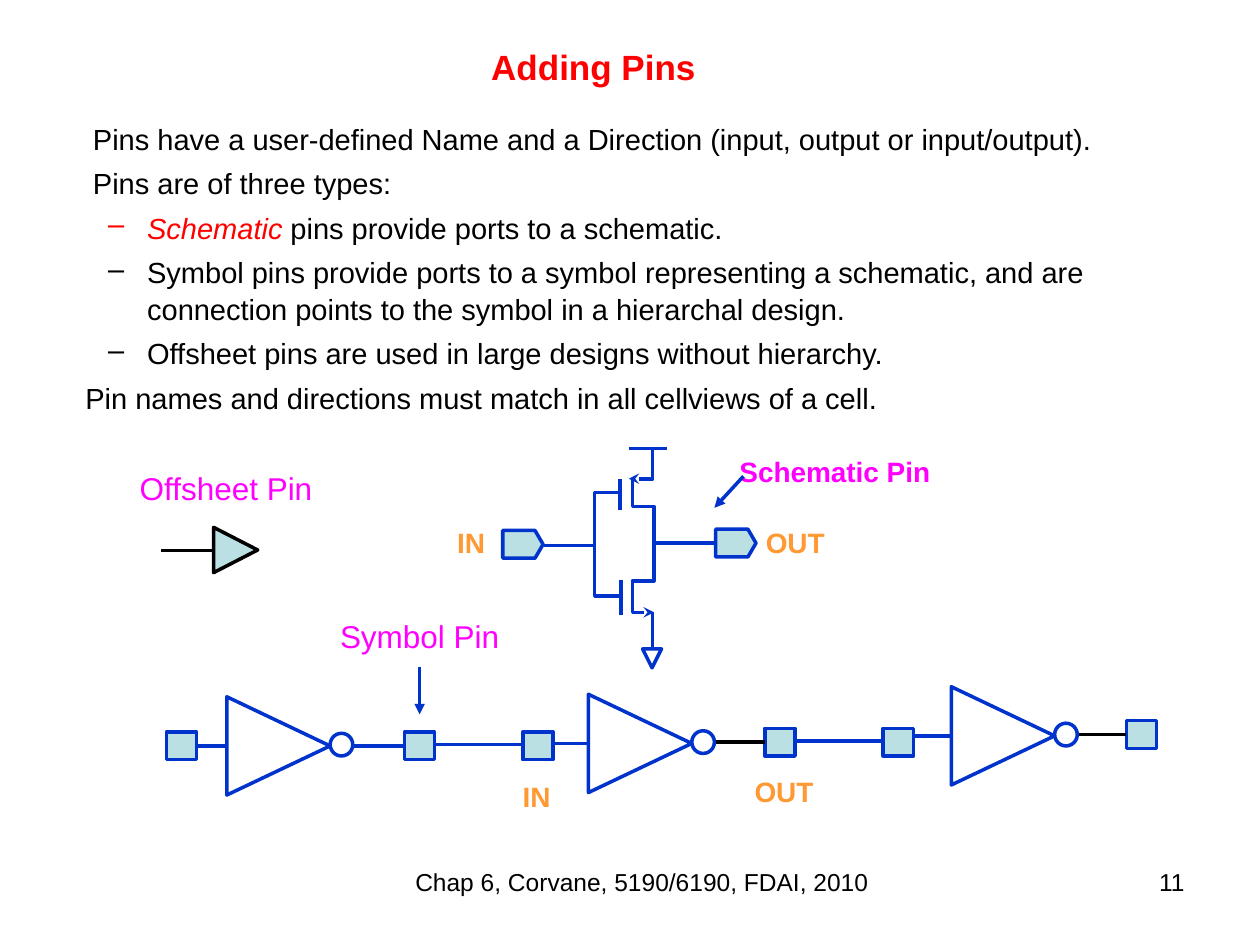
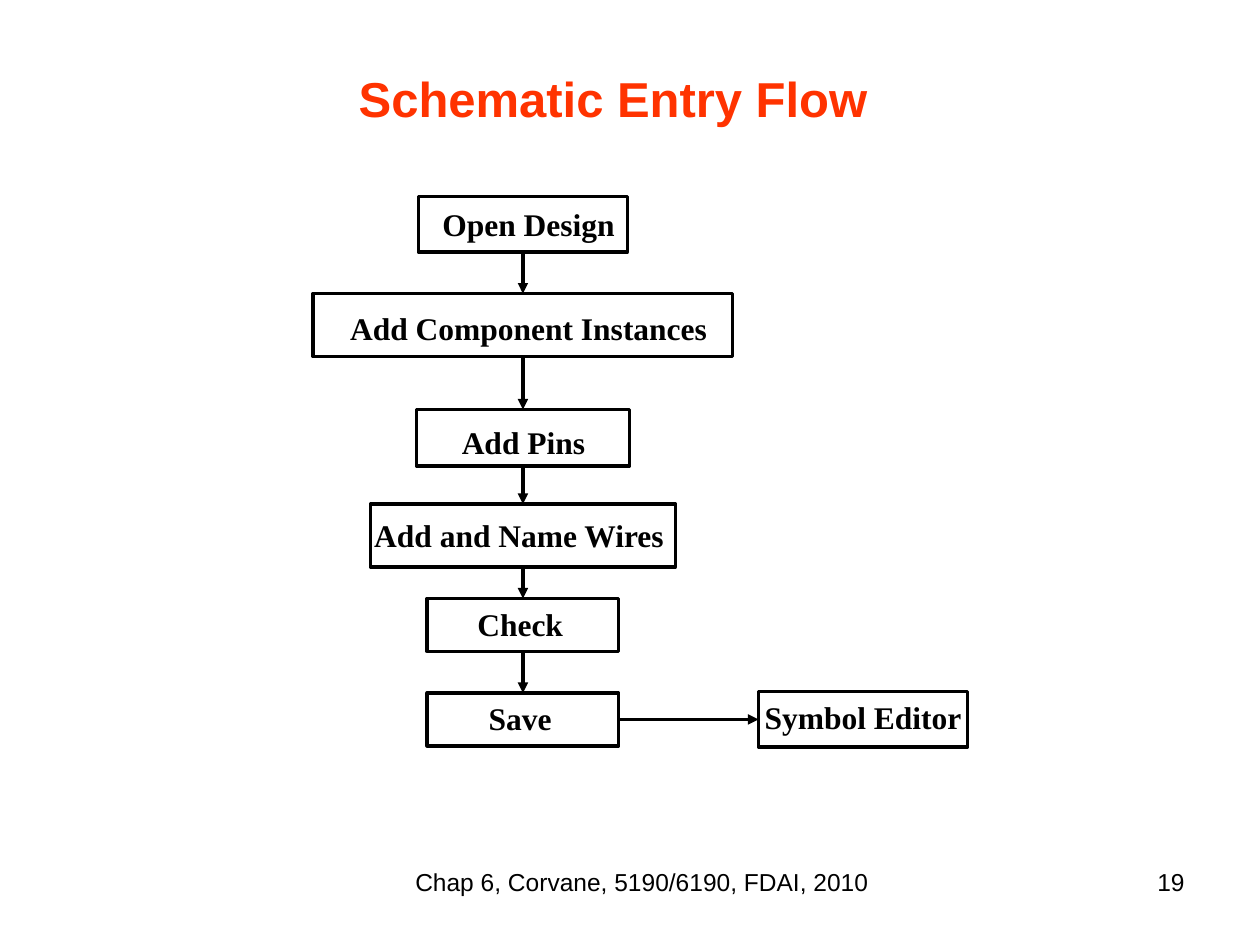
from itertools import pairwise
from typing import NamedTuple, Optional

from lxml import etree
from pptx import Presentation
from pptx.dml.color import RGBColor
from pptx.enum.shapes import MSO_CONNECTOR, MSO_SHAPE
from pptx.enum.text import MSO_ANCHOR, PP_ALIGN
from pptx.oxml.ns import qn
from pptx.util import Emu, Inches, Pt

BLACK = RGBColor(0x00, 0x00, 0x00)
RED = RGBColor(0xFF, 0x00, 0x00)
ORANGE = RGBColor(0xFF, 0x33, 0x00)
BLUE = RGBColor(0x00, 0x33, 0xCC)
PALE = RGBColor(0xBB, 0xE0, 0xE3)
PINK = RGBColor(0xFF, 0x00, 0xFF)
AMBER = RGBColor(0xFF, 0x99, 0x33)

LEFT, MID, RIGHT = PP_ALIGN.LEFT, PP_ALIGN.CENTER, PP_ALIGN.RIGHT
RECT, OVAL = MSO_SHAPE.RECTANGLE, MSO_SHAPE.OVAL
WEDGE, PORT = MSO_SHAPE.FLOWCHART_MERGE, MSO_SHAPE.FLOWCHART_OFFPAGE_CONNECTOR
LINE = MSO_CONNECTOR.STRAIGHT
TOP_SIDE, LEFT_SIDE, LOW_SIDE, RIGHT_SIDE = range(4)

# The slide is a grid of 100 columns by 75 rows of square cells.
WIDTH, HEIGHT = Inches(10), Inches(7.5)
CELL = WIDTH // 100

Point = tuple[float, float]
Box = tuple[float, float, float, float]


class Font(NamedTuple):
    size: float
    color: RGBColor = BLACK
    bold: bool = False
    face: str = "Arial"
    slant: bool = False


class Run(NamedTuple):
    text: str
    font: Font


class Item(NamedTuple):
    runs: list[Run]
    margin: float
    bullet: Optional[RGBColor] = None


class Label(NamedTuple):
    text: str
    box: Box
    font: Font


class Stage(NamedTuple):
    """One inverter: corner of its gate, then of its two pins."""
    gate: Point
    inp: Point
    out: Point
    ink: RGBColor


class Step(NamedTuple):
    text: str
    box: Box
    label: Box
    align: PP_ALIGN = MID


FOOT = Font(14)
BODY = Font(16.6)
NOTE = Font(18, PINK)
PORT_NAME = Font(16, AMBER, True)
STEP = Font(18, BLACK, True, "Times New Roman")


def grid(*cells: float) -> list[Emu]:
    return [Emu(round(n * CELL)) for n in cells]


def add_run(para, run: Run) -> None:
    part = para.add_run()
    part.text = run.text
    font = part.font
    font.name, font.size = run.font.face, Pt(run.font.size)
    font.bold, font.italic = run.font.bold, run.font.slant
    font.color.rgb = run.font.color


def add_frame(slide, box: Box):
    frame = slide.shapes.add_textbox(*grid(*box)).text_frame
    frame.word_wrap = True
    return frame


def add_text(slide, text: str, box: Box, font: Font, align=LEFT, anchor=MSO_ANCHOR.TOP) -> None:
    frame = add_frame(slide, box)
    frame.vertical_anchor = anchor
    para = frame.paragraphs[0]
    para.alignment = align
    add_run(para, Run(text, font))


def add_list(slide, box: Box, items: list[Item]) -> None:
    frame = add_frame(slide, box)
    for row, item in enumerate(items):
        para = frame.add_paragraph() if row else frame.paragraphs[0]
        para.space_before, para.line_spacing = Pt(4.5), 1.05
        props = para._p.get_or_add_pPr()
        props.set("marL", str(grid(item.margin)[0]))
        if item.bullet is not None:
            props.set("indent", str(grid(-3.1)[0]))
            tint = etree.SubElement(props, qn("a:buClr"))
            etree.SubElement(tint, qn("a:srgbClr"), val=str(item.bullet))
            etree.SubElement(props, qn("a:buChar"), char="–")
        for run in item.runs:
            add_run(para, run)


def ink_line(shape, ink: RGBColor, tip: str = "") -> None:
    """Give a line or outline its colour, width and arrowhead."""
    shape.line.color.rgb = ink
    shape.line.width = Pt(2)
    if tip:
        etree.SubElement(shape.line._get_or_add_ln(), qn("a:tailEnd"), type=tip)


def add_form(slide, kind, box: Box, ink=BLUE, fill: Optional[RGBColor] = None, turn: float = 0):
    form = slide.shapes.add_shape(kind, *grid(*box))
    form.shadow.inherit = False
    form.rotation = turn
    if fill is None:
        form.fill.background()
    else:
        form.fill.solid()
        form.fill.fore_color.rgb = fill
    ink_line(form, ink)
    return form


def add_wire(slide, start: Point, end: Point, ink=BLUE, tip: str = ""):
    wire = slide.shapes.add_connector(LINE, *grid(*start, *end))
    ink_line(wire, ink, tip)
    etree.SubElement(wire._element.spPr, qn("a:effectLst"))
    return wire


def add_trace(slide, points: list[Point], tip: str = "") -> None:
    """Draw an open outline through the points."""
    first, *rest = [tuple(grid(*point)) for point in points]
    pen = slide.shapes.build_freeform(*first)
    pen.add_line_segments(rest, close=False)
    trace = pen.convert_to_shape()
    trace.shadow.inherit = False
    trace.fill.background()
    ink_line(trace, BLUE, tip)


def add_page(deck, title: str, box: Box, font: Font, page: int):
    slide = deck.slides.add_slide(deck.slide_layouts[6])
    add_text(slide, "Chap 6, Corvane, 5190/6190, FDAI, 2010", (15.9, 68.3, 70.1, 5.2), FOOT, MID)
    add_text(slide, str(page), (71.7, 68.3, 23.3, 5.2), FOOT, RIGHT)
    add_text(slide, title, box, font, MID, MSO_ANCHOR.MIDDLE)
    return slide


ITEMS = [
    Item([Run("Pins have a user-defined Name and a Direction (input, output or input/output).", BODY)], 3.8),
    Item([Run("Pins are of three types:", BODY)], 3.8),
    Item([Run("Schematic", BODY._replace(color=RED, slant=True)),
          Run(" pins provide ports to a schematic.", BODY)], 8.1, RED),
    Item([Run("Symbol pins provide ports to a symbol representing a schematic, and are "
              "connection points to the symbol in a hierarchal design.", BODY)], 8.1, BLACK),
    Item([Run("Offsheet pins are used in large designs without hierarchy.", BODY)], 8.1, BLACK),
    Item([Run("Pin names and directions must match in all cellviews of a cell.", BODY)], 3.2),
]

LABELS = [
    Label("Offsheet Pin", (10.1, 36.7, 17.9, 4), NOTE),
    Label("Symbol Pin", (26, 48.5, 17.9, 4), NOTE),
    Label("Schematic Pin", (57.7, 35.6, 18.2, 3.7), Font(16, PINK, True)),
    Label("IN", (35.3, 41.2, 4.3, 3.7), PORT_NAME),
    Label("OUT", (59.8, 41.2, 8.4, 3.7), PORT_NAME),
    Label("IN", (40.5, 61.4, 4.3, 3.7), PORT_NAME),
    Label("OUT", (58.9, 61, 8.4, 3.7), PORT_NAME),
]

STAGES = [
    Stage((18.2, 55.1), (13.2, 58.1), (32.1, 58.1), BLUE),
    Stage((46.9, 54.9), (41.5, 58.1), (60.7, 57.8), BLACK),
    Stage((75.7, 54.3), (70.1, 57.8), (89.4, 57.2), BLACK),
]
PIN_W, PIN_H = 2.4, 2.2

TRANSISTOR_WIRES = [
    ((49.9, 35.6), (52.9, 35.6)),
    ((49.2, 38), (49.2, 40.5)),
    ((49.3, 46), (49.3, 48.8)),
    ((51.8, 48.6), (51.8, 51.6)),
    ((43.2, 43.3), (47.3, 43.3)),
    ((52, 43.1), (57, 43.1)),
]


def draw_circuit(slide) -> None:
    for start, end in TRANSISTOR_WIRES:
        add_wire(slide, start, end)
    add_trace(slide, [(51.8, 35.6), (51.8, 38), (49.9, 38)], "stealth")
    add_trace(slide, [(50.2, 38), (50.2, 40.2), (51.9, 40.2), (51.9, 46.1),
                      (50.2, 46.1), (50.2, 48.6), (51.9, 48.6)], "stealth")
    add_trace(slide, [(49.2, 39.1), (47.2, 39.1), (47.2, 47.3), (49.3, 47.3)])
    add_form(slide, WEDGE, (51, 51.5, 1.5, 1.5))
    for left, top in ((40.4, 41.6), (57.3, 41.5)):
        add_form(slide, PORT, (left, top, 2.2, 3.2), fill=PALE, turn=270)


def draw_stage(slide, stage: Stage) -> None:
    left, top = stage.gate
    axis = top + 4.1
    add_form(slide, WEDGE, (left, top, 7.8, 8.2), turn=270)
    add_form(slide, OVAL, (left + 8, top + 3.1, 1.8, 1.8))
    add_form(slide, RECT, (*stage.inp, PIN_W, PIN_H), fill=PALE)
    out = add_form(slide, RECT, (*stage.out, PIN_W, PIN_H), fill=PALE)
    add_wire(slide, (stage.inp[0] + PIN_W, axis), (left - 0.2, axis))
    pin_mid = stage.out[1] + PIN_H / 2
    wire = add_wire(slide, (left + 9.9, pin_mid), (stage.out[0], pin_mid), stage.ink)
    wire.end_connect(out, LEFT_SIDE)


def draw_pins(deck) -> None:
    slide = add_page(deck, "Adding Pins", (27.7, 3, 38.8, 4.6), Font(20, RED, True), 11)
    add_list(slide, (2.6, 9, 91.4, 25.7), ITEMS)
    add_wire(slide, (12.8, 43.7), (16.8, 43.7), BLACK)
    add_form(slide, WEDGE, (16.9, 41.9, 3.6, 3.5), BLACK, PALE, 270)
    draw_circuit(slide)
    for stage in STAGES:
        draw_stage(slide, stage)
    for stage, after in pairwise(STAGES):
        level = stage.out[1] + 1
        add_wire(slide, (stage.out[0] + PIN_W, level), (after.inp[0], level))
    for label in LABELS:
        add_text(slide, *label)
    add_wire(slide, (59, 37.8), (56.7, 40.3), tip="triangle")
    add_wire(slide, (33.3, 52.9), (33.3, 56.7), tip="triangle")


SPINE = 41.5


def on_spine(top: float, width: float, height: float) -> Box:
    return SPINE - width / 2, top, width, height


STEPS = [
    Step("Open Design", on_spine(15.6, 16.6, 4.4), (33.6, 15.8, 16.7, 4)),
    Step("Add Component Instances", on_spine(23.3, 33.3, 5), (25.7, 24, 32.5, 4)),
    Step("Add Pins", on_spine(32.5, 16.9, 4.5), (33.2, 33.1, 16.7, 4)),
    Step("Add and Name Wires", on_spine(40, 24.2, 5), (26.5, 40.5, 29.4, 4)),
    Step("Check", on_spine(47.5, 15.2, 4.2), (36.9, 47.5, 9.2, 4), LEFT),
    Step("Save", on_spine(55, 15.2, 4.2), (37.8, 55, 9.2, 4), LEFT),
]
EDITOR = Step("Symbol Editor", (60.2, 54.9, 16.6, 4.4), (59.7, 54.9, 20.6, 4), LEFT)


def add_step(slide, step: Step):
    form = add_form(slide, RECT, step.box, BLACK)
    add_text(slide, step.text, step.label, STEP, step.align)
    return form


def join(slide, first, side: int, second, far: int) -> None:
    arrow = add_wire(slide, (0, 0), (1, 1), BLACK, "triangle")
    arrow.begin_connect(first, side)
    arrow.end_connect(second, far)


def draw_flow(deck) -> None:
    slide = add_page(deck, "Schematic Entry Flow", (23.5, 4.7, 50.3, 6.1), Font(28, ORANGE, True), 19)
    forms = [add_step(slide, step) for step in STEPS]
    for upper, lower in pairwise(forms):
        join(slide, upper, LOW_SIDE, lower, TOP_SIDE)
    join(slide, forms[-1], RIGHT_SIDE, add_step(slide, EDITOR), LEFT_SIDE)


def main() -> None:
    deck = Presentation()
    deck.slide_width, deck.slide_height = WIDTH, HEIGHT
    draw_pins(deck)
    draw_flow(deck)
    deck.save("out.pptx")


if __name__ == "__main__":
    main()
